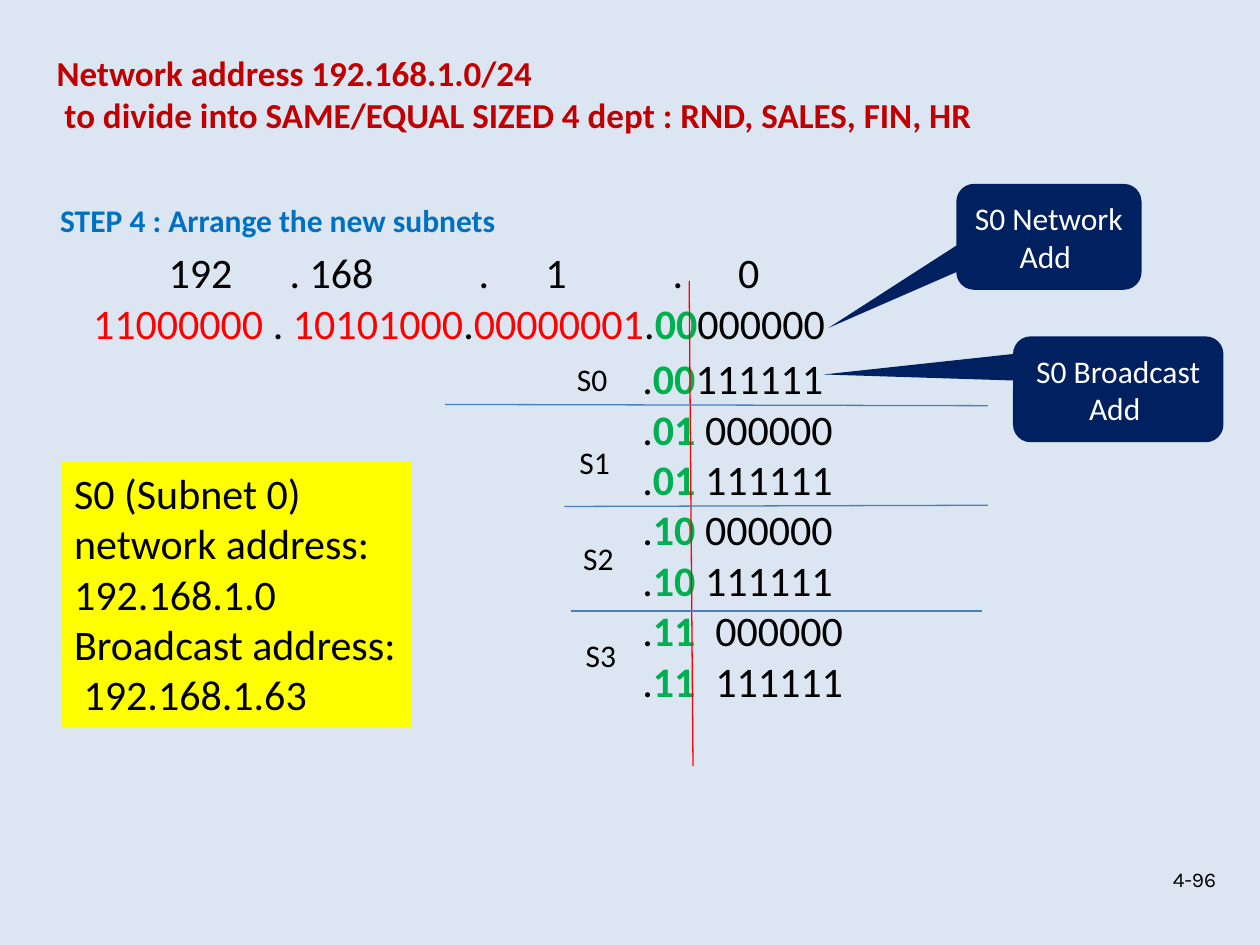
from pptx import Presentation
from pptx.dml.color import RGBColor
from pptx.enum.shapes import MSO_CONNECTOR, MSO_SHAPE
from pptx.enum.text import MSO_ANCHOR, PP_ALIGN
from pptx.oxml.ns import qn
from pptx.util import Inches, Pt
from lxml.etree import SubElement

WIDE, HIGH = Inches(10), Inches(7.5)
COLS, ROWS = 100, 75
HUES = {
    "back": "DCE6F2", "title": "C00000", "step": "0070C0", "text": "000000",
    "net": "FF0000", "sub": "00B050", "rule": "4B7EBC", "call": "002060",
    "note": "FFFF00", "white": "FFFFFF",
}


def hue(name):
    """Return the named colour."""
    return RGBColor.from_string(HUES[name])


def cell(x, y):
    """Turn a grid column and row into slide lengths."""
    return round(x * WIDE / COLS), round(y * HIGH / ROWS)


def write(shape, lines, size=24, color="text", bold=False, font="Calibri",
          align=PP_ALIGN.LEFT, anchor=MSO_ANCHOR.TOP, wrap=False, tabs=()):
    """Fill a shape with lines, each a string or a list of (text, colour) runs."""
    frame = shape.text_frame
    frame.word_wrap, frame.vertical_anchor = wrap, anchor
    for i, line in enumerate(lines):
        para = frame.add_paragraph() if i else frame.paragraphs[0]
        para.alignment = align
        if tabs:
            stops = SubElement(para._p.get_or_add_pPr(), qn("a:tabLst"))
            for stop in tabs:
                SubElement(stops, qn("a:tab"), pos=str(cell(stop, 0)[0]), algn="l")
        for words, tint in [(line, color)] if isinstance(line, str) else line:
            run = para.add_run()
            run.text = words
            run.font.name, run.font.size = font, Pt(size)
            run.font.bold = bold or tint == "sub"
            run.font.color.rgb = hue(tint)


def label(slide, x, y, w, h, lines, **form):
    """Add a text box."""
    write(slide.shapes.add_textbox(*cell(x, y), *cell(w, h)), lines, **form)


def block(slide, kind, x, y, w, h, fill, lines, **form):
    """Add a filled shape with text and return it."""
    shape = slide.shapes.add_shape(kind, *cell(x, y), *cell(w, h))
    shape.shadow.inherit = False
    shape.fill.solid()
    shape.fill.fore_color.rgb = hue(fill)
    shape.line.fill.background()
    write(shape, lines, **form)
    return shape


def callout(slide, x, y, w, tip, words):
    """Add a callout whose tail ends at the tip, given as shares of its size."""
    shape = block(slide, MSO_SHAPE.ROUNDED_RECTANGULAR_CALLOUT, x, y, w, 8.4,
                  "call", [words], size=18, color="white", wrap=True,
                  align=PP_ALIGN.CENTER, anchor=MSO_ANCHOR.MIDDLE)
    shape.adjustments[0], shape.adjustments[1] = tip


def rule(slide, start, end, color):
    """Draw a thin straight line."""
    line = slide.shapes.add_connector(MSO_CONNECTOR.STRAIGHT, *cell(*start), *cell(*end))
    line.line.color.rgb = hue(color)
    line.line.width = Pt(0.75)
    SubElement(line._element.spPr, qn("a:effectLst"))


def host(bits, tail, gap=""):
    """Return the runs of one last octet."""
    return [(".", "text"), (bits + gap, "sub"), (tail * 6, "text")]


def main():
    """Build the slide and save it."""
    deck = Presentation()
    deck.slide_width, deck.slide_height = WIDE, HIGH
    slide = deck.slides.add_slide(deck.slide_layouts[6])
    slide.background.fill.solid()
    slide.background.fill.fore_color.rgb = hue("back")

    label(slide, 3.5, 3.6, 75.2, 7.7, [
        "Network address 192.168.1.0/24",
        " to divide into SAME/EQUAL SIZED 4 dept : RND, SALES, FIN, HR",
    ], size=20, color="title", bold=True)
    label(slide, 3.8, 15.5, 45.7, 4, ["STEP 4 : Arrange the new subnets"],
          size=18, color="step", bold=True)

    octets = [("11000000", "net"), (" . ", "text"), ("10101000", "net"),
              (".", "text"), ("00000001", "net")]
    label(slide, 6.4, 19.1, 69.5, 9.1,
          ["\t192\t. 168\t.\t1\t.\t0", octets + host("00", "0")],
          wrap=True, tabs=(6, 15.6, 30.6, 35.9, 46, 51.2))

    gaps = {"01": " ", "10": " ", "11": "\t"}
    subs = [host(bits, tail, gap) for bits, gap in gaps.items() for tail in "01"]
    label(slide, 50, 27.5, 18.7, 29.3, [host("00", "1")] + subs,
          wrap=True, tabs=(5.8,))

    rule(slide, (54.7, 22.3), (55, 60.8), "net")
    for start, end in (((35.3, 32.1), (78.4, 32.2)),
                       ((44.8, 40.2), (78.4, 40.1)),
                       ((45.3, 48.5), (77.9, 48.5))):
        rule(slide, start, end, "rule")

    callout(slide, 75.9, 14.6, 14.7, (-1.19, 0.86), "S0 Network Add ")
    for i, (x, y) in enumerate(((44.8, 28.1), (45, 34.7), (45.3, 42.3), (45.5, 50))):
        label(slide, x, y, 4.8, 4, [f"S{i}"], size=18)
    callout(slide, 80.4, 26.7, 16.7, (-1.4, -0.14), "S0 Broadcast Add ")

    block(slide, MSO_SHAPE.RECTANGLE, 4.9, 36.6, 27.8, 21.2, "note", [
        "S0 (Subnet 0)", "network address:", "192.168.1.0",
        "Broadcast address:", " 192.168.1.63",
    ])
    label(slide, 89.6, 68.1, 7.9, 3.3, ["4-96"], size=12, font="Karla",
          align=PP_ALIGN.RIGHT, anchor=MSO_ANCHOR.MIDDLE, wrap=True)
    deck.save("out.pptx")


if __name__ == "__main__":
    main()
